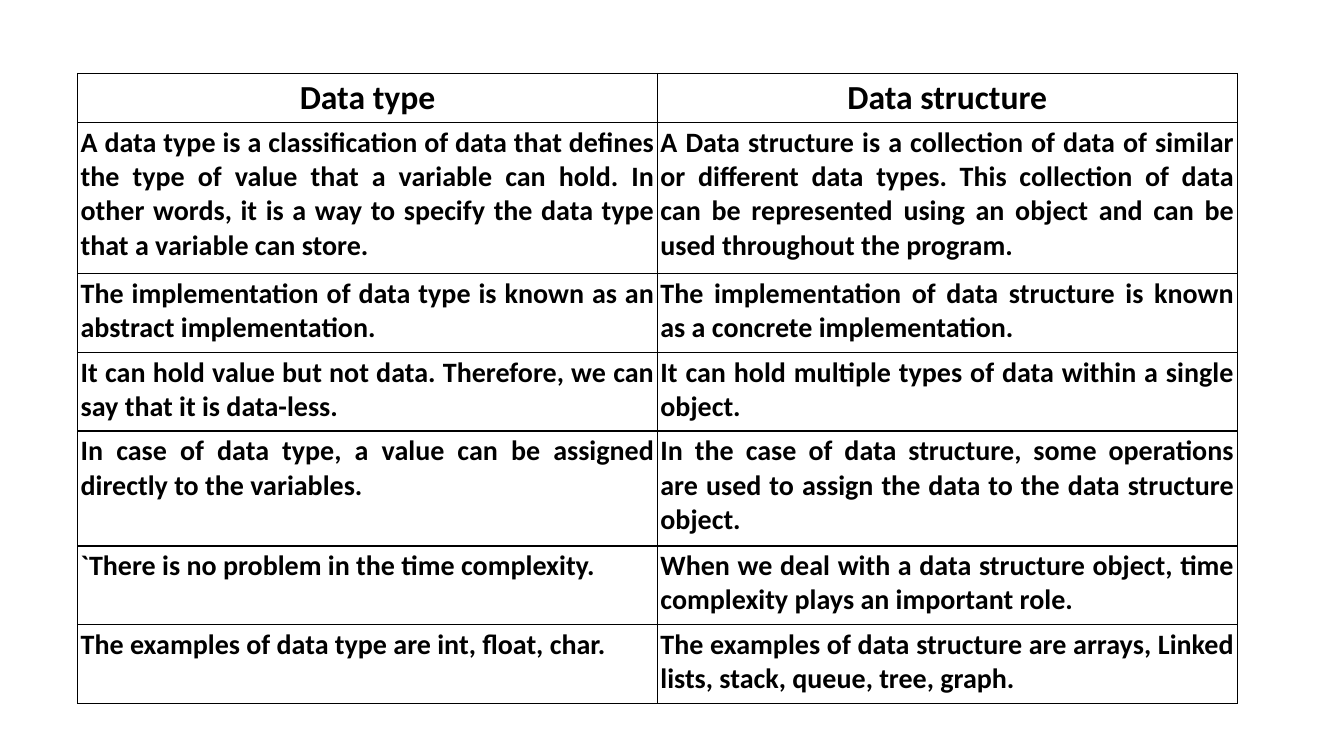
from dataclasses import dataclass

from lxml import etree
from pptx import Presentation
from pptx.dml.color import RGBColor
from pptx.enum.text import MSO_ANCHOR, PP_ALIGN
from pptx.oxml.ns import qn
from pptx.util import Pt

PX = 9144  # EMU in one px, 100 px to the inch
CENTER, JUSTIFY, TOP = PP_ALIGN.CENTER, PP_ALIGN.JUSTIFY, MSO_ANCHOR.TOP


@dataclass(frozen=True)
class Theme:
    font: str = "Calibri"
    ink: str = "000000"
    head: int = 24
    body: int = 20
    rule: int = 1


class Deck:
    def __init__(self, theme, width, height):
        self.theme = theme
        self.prs = Presentation()
        self.prs.slide_width, self.prs.slide_height = width * PX, height * PX
        self.slide = self.prs.slides.add_slide(self.prs.slide_layouts[6])

    def table(self, left, top, widths, heights, rows):
        frame = self.slide.shapes.add_table(
            len(rows), len(widths), left * PX, top * PX,
            sum(widths) * PX, sum(heights) * PX)
        grid = frame.table
        grid.first_row = grid.horz_banding = False
        for col, width in zip(grid.columns, widths):
            col.width = width * PX
        for row, height, texts in zip(grid.rows, heights, rows):
            row.height = height * PX
            for cell, text in zip(row.cells, texts):
                self.cell(cell, text, texts is rows[0])

    def cell(self, cell, text, head):
        pad = (4 if head else 3) * PX
        look = {"margin_left": pad, "margin_right": pad, "margin_top": pad,
                "margin_bottom": pad, "vertical_anchor": TOP}
        for name, value in look.items():
            setattr(cell, name, value)
        cell.fill.background()
        self.border(cell)
        para = cell.text_frame.paragraphs[0]
        para.alignment = CENTER if head else JUSTIFY
        run = para.add_run()
        run.text = text
        size = self.theme.head if head else self.theme.body
        style = {"name": self.theme.font, "size": Pt(size), "bold": True}
        for name, value in style.items():
            setattr(run.font, name, value)
        run.font.color.rgb = RGBColor.from_string(self.theme.ink)

    def border(self, cell):
        # Border lines stand before the fill in the cell properties
        props = cell._tc.get_or_add_tcPr()
        for spot, side in enumerate(("lnL", "lnR", "lnT", "lnB")):
            line = etree.Element(qn("a:" + side), w=str(Pt(self.theme.rule)))
            fill = etree.SubElement(line, qn("a:solidFill"))
            etree.SubElement(fill, qn("a:srgbClr"), val=self.theme.ink)
            props.insert(spot, line)


ROWS = [
    ("Data type", "Data structure"),
    ("A data type is a classification of data that defines the type of value "
     "that a variable can hold. In other words, it is a way to specify the "
     "data type that a variable can store.",
     "A Data structure is a collection of data of similar or different data "
     "types. This collection of data can be represented using an object and "
     "can be used throughout the program."),
    ("The implementation of data type is known as an abstract implementation.",
     "The implementation of data structure is known as a concrete "
     "implementation."),
    ("It can hold value but not data. Therefore, we can say that it is "
     "data-less.",
     "It can hold multiple types of data within a single object."),
    ("In case of data type, a value can be assigned directly to the variables.",
     "In the case of data structure, some operations are used to assign the "
     "data to the data structure object."),
    ("`There is no problem in the time complexity.",
     "When we deal with a data structure object, time complexity plays an "
     "important role."),
    ("The examples of data type are int, float, char.",
     "The examples of data structure are arrays, Linked lists, stack, queue, "
     "tree, graph."),
]


def main():
    deck = Deck(Theme(), 1333, 750)
    # Comparison of data types and data structures
    deck.table(77, 73, [575, 575], [45, 150, 78, 78, 114, 78, 78], ROWS)
    deck.prs.save("out.pptx")


if __name__ == "__main__":
    main()
